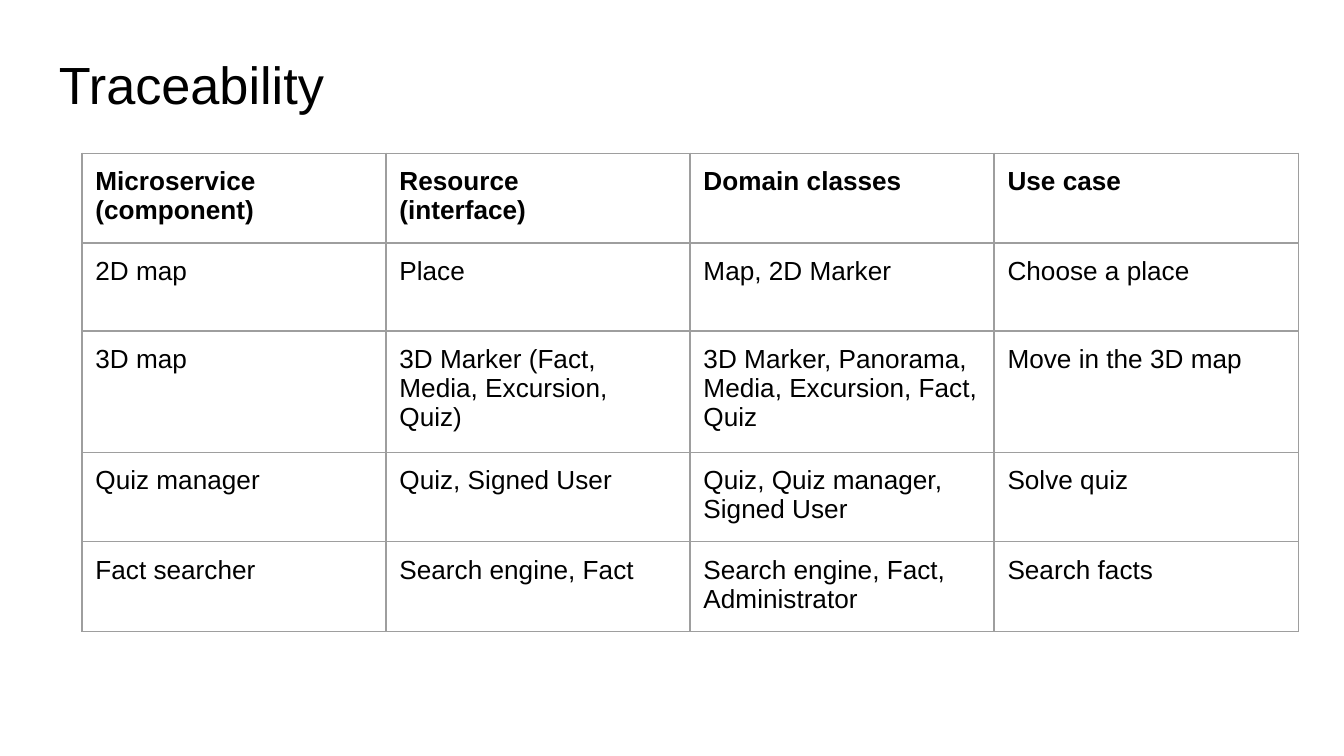
from dataclasses import dataclass

from lxml import etree
from pptx import Presentation
from pptx.dml.color import RGBColor
from pptx.enum.text import MSO_ANCHOR
from pptx.oxml.ns import qn
from pptx.util import Inches, Pt

TOP = MSO_ANCHOR.TOP
BLANK_LAYOUT = 6


@dataclass(frozen=True)
class Theme:
    font: str = "Arial"
    text: str = "000000"
    background: str = "FFFFFF"
    border: str = "9E9E9E"
    title_size: float = 28
    table_size: float = 14
    border_width: float = 0.75


theme = Theme()


def add_text(paragraph, text, size, bold=False):
    """Add one run per line, with line breaks between them."""
    for index, line in enumerate(text.split("\n")):
        if index:
            paragraph.add_line_break()
        run = paragraph.add_run()
        run.text = line
        run.font.name = theme.font
        run.font.size = Pt(size)
        run.font.bold = bold
        run.font.color.rgb = RGBColor.from_string(theme.text)
    # The paragraph end keeps the text size, so that it does not stretch the row
    etree.SubElement(paragraph._p, qn("a:endParaRPr"), sz=str(size * 100))


def style_cell(cell):
    """Set margins, a thin border on every side and no fill."""
    cell.margin_left = cell.margin_right = Inches(0.1)
    cell.margin_top = cell.margin_bottom = Inches(0.1)
    cell.vertical_anchor = TOP
    properties = cell._tc.get_or_add_tcPr()
    for side in ("a:lnL", "a:lnR", "a:lnT", "a:lnB"):
        line = etree.SubElement(properties, qn(side), w=str(Pt(theme.border_width)))
        fill = etree.SubElement(line, qn("a:solidFill"))
        etree.SubElement(fill, qn("a:srgbClr"), val=theme.border)
    cell.fill.background()


# Slide, 16:9
presentation = Presentation()
presentation.slide_width = Inches(10)
presentation.slide_height = Inches(10 * 9 / 16)
slide = presentation.slides.add_slide(presentation.slide_layouts[BLANK_LAYOUT])
slide.background.fill.solid()
slide.background.fill.fore_color.rgb = RGBColor.from_string(theme.background)

# Title
title = slide.shapes.add_textbox(Inches(0.34), Inches(0.29), Inches(9.32), Inches(0.63))
title_frame = title.text_frame
title_frame.word_wrap = True
title_frame.vertical_anchor = TOP
title_frame.margin_left = title_frame.margin_right = Inches(0.1)
title_frame.margin_top = title_frame.margin_bottom = Inches(0.1)
add_text(title_frame.paragraphs[0], "Traceability", theme.title_size)

# Traceability table
rows = [
    ("Microservice\n(component)", "Resource\n(interface)", "Domain classes", "Use case"),
    ("2D map", "Place", "Map, 2D Marker", "Choose a place"),
    ("3D map", "3D Marker (Fact, Media, Excursion, Quiz)",
     "3D Marker, Panorama, Media, Excursion, Fact, Quiz", "Move in the 3D map"),
    ("Quiz manager", "Quiz, Signed User", "Quiz, Quiz manager, Signed User", "Solve quiz"),
    ("Fact searcher", "Search engine, Fact", "Search engine, Fact, Administrator",
     "Search facts"),
]
table = slide.shapes.add_table(
    len(rows), len(rows[0]), Inches(0.61), Inches(1.14), Inches(9.05), Inches(3.28)
).table
table.first_row = False
table.horz_banding = False
for row_index, row in enumerate(rows):
    for column_index, text in enumerate(row):
        cell = table.cell(row_index, column_index)
        style_cell(cell)
        add_text(cell.text_frame.paragraphs[0], text, theme.table_size, bold=row_index == 0)

presentation.save("out.pptx")
